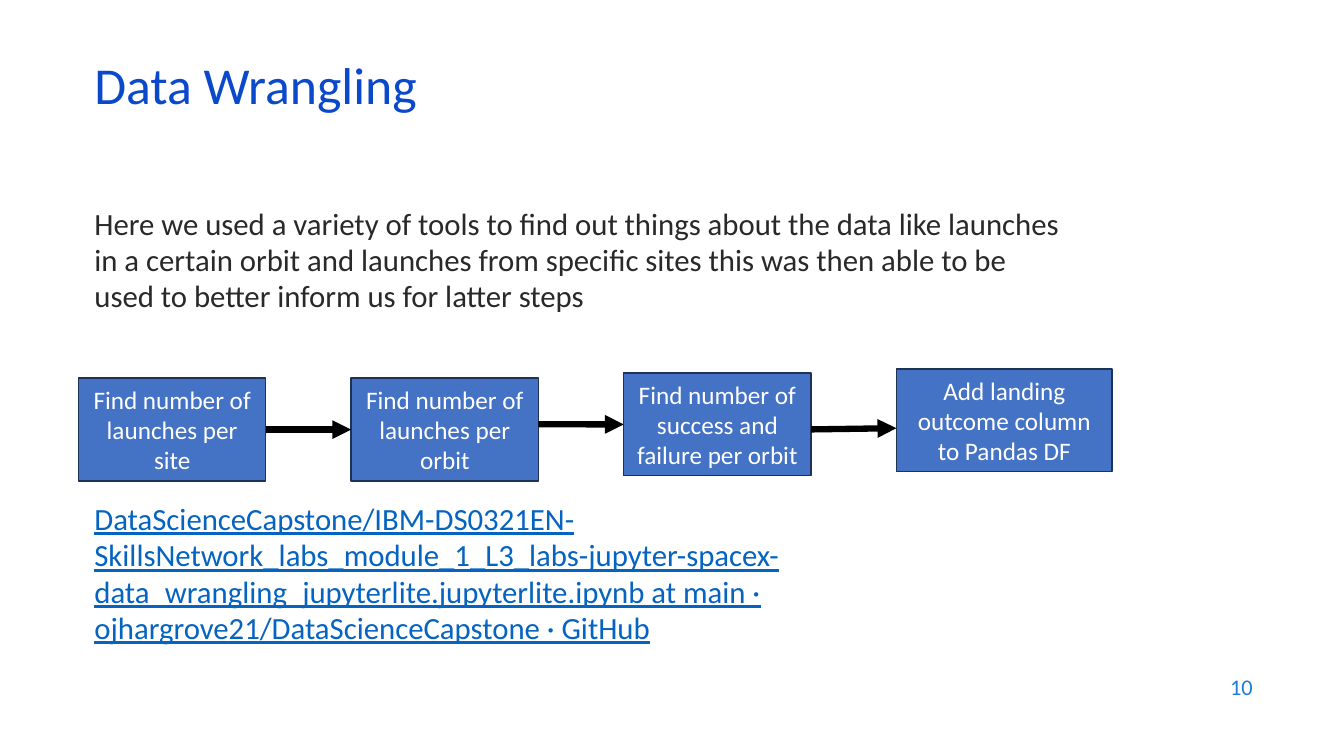
from dataclasses import dataclass

from lxml import etree
from pptx import Presentation
from pptx import util as u
from pptx.dml.color import RGBColor
from pptx.enum import shapes, text
from pptx.oxml import ns

FONT = "Calibri"
STEP_LEFT, STEP_PITCH, STEP_HEIGHT = 1.98, 6.87, 2.59
ARROW_DROP = 0.03
JOIN_TOLERANCE = 0.1
RIGHT_SIDE, LEFT_SIDE = 3, 1


@dataclass
class Style:
    size: float
    color: str
    align: text.PP_ALIGN = text.PP_ALIGN.LEFT
    anchor: text.MSO_ANCHOR = text.MSO_ANCHOR.TOP
    spacing: float = 1.0
    underline: bool = False


@dataclass
class Label:
    wording: str
    left: float
    top: float
    width: float
    height: float
    style: Style


@dataclass
class Step:
    wording: str
    top: float
    width: float = 4.72

    @property
    def middle(self) -> float:
        return self.top + STEP_HEIGHT / 2


TITLE = Style(37, "0B49CB", anchor=text.MSO_ANCHOR.MIDDLE, spacing=0.8)
BODY = Style(22, "292929", spacing=0.98)
LINK = Style(22, "0563C1", spacing=0.98, underline=True)
NUMBER = Style(16, "1C7DDB", text.PP_ALIGN.RIGHT, text.MSO_ANCHOR.MIDDLE)
STEP = Style(18, "FFFFFF", text.PP_ALIGN.CENTER, text.MSO_ANCHOR.MIDDLE)

LABELS = [
    Label("10", 24.2, 16.74, 7.62, 1.12, NUMBER),
    Label("Here we used a variety of tools to find out things about the data "
          "like launches in a certain orbit and launches from specific sites "
          "this was then able to be used to better inform us for latter steps",
          2.13, 5.08, 24.94, 3.2, BODY),
    Label("DataScienceCapstone/IBM-DS0321EN-SkillsNetwork_labs_module_1_L3_"
          "labs-jupyter-spacex-data_wrangling_jupyterlite.jupyterlite.ipynb "
          "at main · ojhargrove21/DataScienceCapstone · GitHub",
          2.13, 12.52, 24.94, 4.1, LINK),
    Label("Data Wrangling", 2.13, 1.5, 29.21, 1.52, TITLE),
]
STEPS = [
    Step("Find number of launches per site", 9.53),
    Step("Find number of launches per orbit", 9.53),
    Step("Find number of success and failure per orbit", 9.4),
    Step("Add landing outcome column to Pandas DF", 9.3, 5.44),
]
ARROW_STARTS = [10.9, 10.69, 10.82]


def rgb(color: str) -> RGBColor:
    return RGBColor.from_string(color)


def write(shape, wording: str, style: Style) -> None:
    frame = shape.text_frame
    frame.word_wrap = True
    frame.vertical_anchor = style.anchor
    para = frame.paragraphs[0]
    para.alignment = style.align
    para.line_spacing = style.spacing
    span = para.add_run()
    span.text = wording
    span.font.name = FONT
    span.font.size = u.Pt(style.size)
    span.font.color.rgb = rgb(style.color)
    if style.underline:
        span.font.underline = True


def add_label(page, label: Label) -> None:
    box = page.shapes.add_textbox(u.Cm(label.left), u.Cm(label.top),
                                  u.Cm(label.width), u.Cm(label.height))
    write(box, label.wording, label.style)


def add_step(page, step: Step, left: float):
    box = page.shapes.add_shape(shapes.MSO_SHAPE.RECTANGLE, u.Cm(left),
                                u.Cm(step.top), u.Cm(step.width),
                                u.Cm(STEP_HEIGHT))
    box.shadow.inherit = False
    box.fill.solid()
    box.fill.fore_color.rgb = rgb("4472C4")
    box.line.color.rgb = rgb("1E3256")
    box.line.width = u.Pt(1)
    write(box, step.wording, STEP)
    return box


def add_arrow(page, index: int, boxes: list, start_y: float) -> None:
    """Link a step to the next, joining ends that sit at a side's middle."""
    source, target = STEPS[index], STEPS[index + 1]
    left = STEP_LEFT + STEP_PITCH * index
    end_y = start_y - ARROW_DROP
    arrow = page.shapes.add_connector(
        shapes.MSO_CONNECTOR.STRAIGHT,
        u.Cm(left + source.width), u.Cm(start_y),
        u.Cm(left + STEP_PITCH), u.Cm(end_y))
    if abs(start_y - source.middle) < JOIN_TOLERANCE:
        arrow.begin_connect(boxes[index], RIGHT_SIDE)
    if abs(end_y - target.middle) < JOIN_TOLERANCE:
        arrow.end_connect(boxes[index + 1], LEFT_SIDE)
    arrow.line.color.rgb = rgb("000000")
    arrow.line.width = u.Pt(4.5)
    etree.SubElement(arrow.line._get_or_add_ln(), ns.qn("a:tailEnd"),
                     type="triangle")
    etree.SubElement(arrow._element.spPr, ns.qn("a:effectLst"))


def main() -> None:
    deck = Presentation()
    deck.slide_width, deck.slide_height = u.Cm(33.87), u.Cm(19.05)
    page = deck.slides.add_slide(deck.slide_layouts[6])
    for label in LABELS:
        add_label(page, label)
    boxes = [add_step(page, step, STEP_LEFT + STEP_PITCH * index)
             for index, step in enumerate(STEPS)]
    for index, start_y in enumerate(ARROW_STARTS):
        add_arrow(page, index, boxes, start_y)
    deck.save("out.pptx")


if __name__ == "__main__":
    main()
